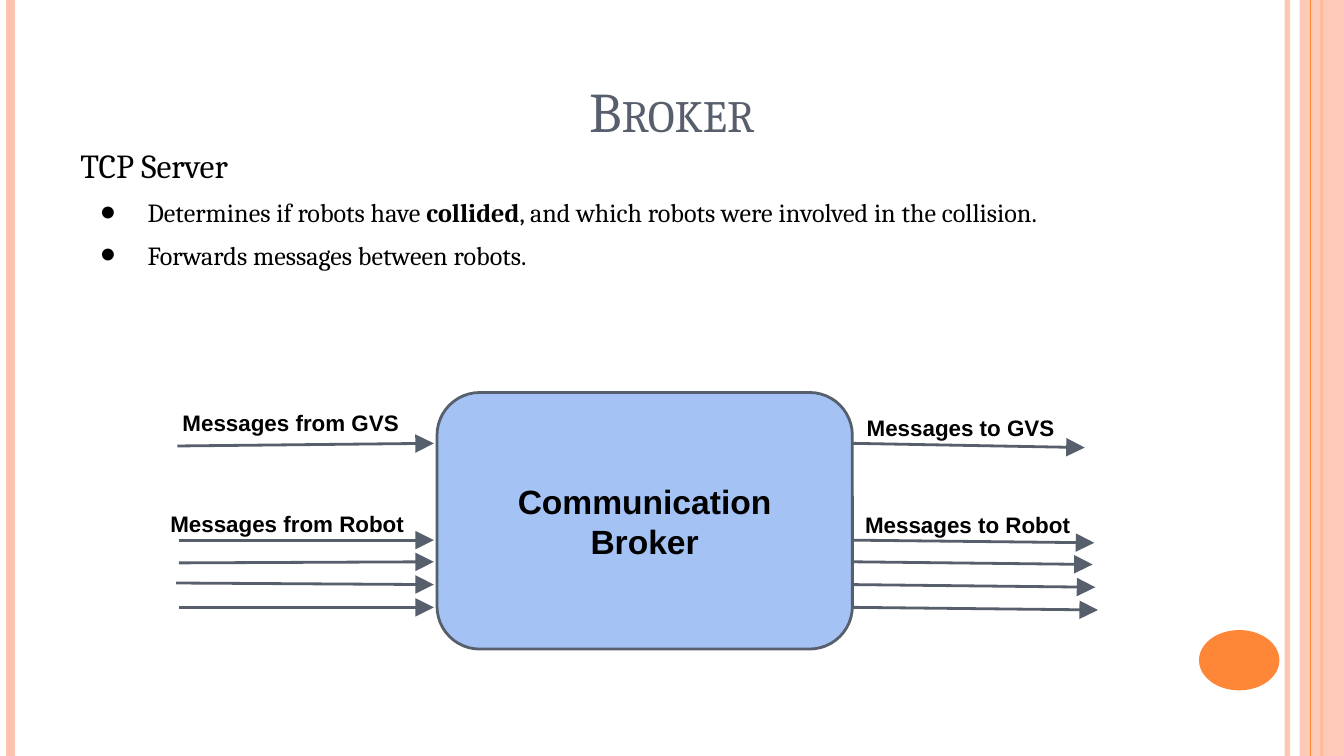
import pptx
import pptx.util
import pptx.dml.color
import pptx.enum.shapes
import pptx.enum.text
import pptx.oxml
import pptx.oxml.ns
from lxml import etree

Cm, Pt = pptx.util.Cm, pptx.util.Pt
SHAPE = pptx.enum.shapes.MSO_SHAPE
ALIGN = pptx.enum.text.PP_ALIGN
ANCHOR = pptx.enum.text.MSO_ANCHOR
qn = pptx.oxml.ns.qn

# Content, lengths in cm
W, H = 25.4, 14.29
PEACH, ORANGE, SLATE, BLUE, BLACK = "FEC3AE", "FE8637", "575F6D", "A4C2F4", "000000"
TITLE = "Broker"
HEADING = "TCP Server"
BULLETS = [
    [("Determines if robots have ", False), ("collided", True),
     (", and which robots were involved in the collision.", False)],
    [("Forwards messages between robots.", False)],
]
BROKER = ("Communication Broker", 8.26, 7.42, 7.85, 4.85)
STRIPES = [  # x, colour, width in points, opacity
    (24.33, PEACH, 3, 93), (0.2, PEACH, 4.5, 100), (24.97, ORANGE, 1.5, 100)]
INNER_STRIPE = (24.77, ORANGE, 0.75, 100)
LABELS = [  # text, left, top, width
    ("Messages from GVS", 3.2, 7.49, 5.05),
    ("Messages from Robot", 2.97, 9.4, 5.16),
    ("Messages to GVS", 16.13, 7.57, 5.05),
    ("Messages to Robot", 16.1, 9.42, 5.16),
]
IN_END, OUT_START = 8.2, 16.12
FLOWS = [  # height at broker, incoming start, outgoing end
    (8.38, (3.35, 8.43), (20.5, 8.46)),
    (10.21, (3.38, 10.21), (20.68, 10.26)),
    (10.62, (3.38, 10.64), (20.65, 10.67)),
    (11.05, (3.33, 11.02), (20.7, 11.1)),
    (11.48, (3.38, 11.48), (20.75, 11.53)),
]


def paint(target, colour, opacity=100):
    """Give a fill or a line's fill a solid colour."""
    target.solid()
    target.fore_color.rgb = pptx.dml.color.RGBColor.from_string(colour)
    if opacity < 100:
        clr = target._xPr.find(qn("a:solidFill"))[0]
        etree.SubElement(clr, qn("a:alpha"), val=str(opacity * 1000))


def add_text(p, text, size=12, font="Arial", colour=BLACK, bold=False, small_caps=False):
    r = p.add_run()
    r.text = text
    r.font.size, r.font.name, r.font.bold = Pt(size), font, bold
    paint(r.font.fill, colour)
    if small_caps:
        r.font._element.set("cap", "small")


def frame(sp, anchor=ANCHOR.TOP):
    tf = sp.text_frame
    tf.word_wrap = True
    tf.vertical_anchor = anchor
    tf.margin_left = tf.margin_right = tf.margin_top = tf.margin_bottom = Cm(0.25)
    return tf


def add_box(x, y, w, h):
    return frame(s.shapes.add_textbox(Cm(x), Cm(y), Cm(w), Cm(h)))


def add_shape(kind, x, y, w, h, colour, opacity=100):
    sp = s.shapes.add_shape(kind, Cm(x), Cm(y), Cm(w), Cm(h))
    sp.shadow.inherit = False
    paint(sp.fill, colour, opacity)
    sp.line.fill.background()
    return sp


def add_line(x1, y1, x2, y2, colour=SLATE, width=1.5, opacity=100, arrow=False):
    c = s.shapes.add_connector(pptx.enum.shapes.MSO_CONNECTOR.STRAIGHT,
                               Cm(x1), Cm(y1), Cm(x2), Cm(y2))
    c.line.width = Pt(width)
    paint(c.line.fill, colour, opacity)
    if arrow:
        etree.SubElement(c.line._get_or_add_ln(), qn("a:tailEnd"),
                         type="triangle", w="lg", len="lg")
    etree.SubElement(c._element.spPr, qn("a:effectLst"))


def add_stripe(x, colour, width, opacity):
    add_line(x, 0, x, H, colour, width, opacity)


def indent(p, left, first, bullet=False):
    pPr = p._p.get_or_add_pPr()
    pPr.set("marL", str(Cm(left)))
    pPr.set("indent", str(Cm(first)))
    if bullet:
        clr = etree.SubElement(pPr, qn("a:buClr"))
        etree.SubElement(clr, qn("a:srgbClr"), val=BLACK)
        etree.SubElement(pPr, qn("a:buSzPct"), val="167000")
        etree.SubElement(pPr, qn("a:buFont"), typeface="Arial")
        etree.SubElement(pPr, qn("a:buChar"), char="•")


prs = pptx.Presentation()
prs.slide_width, prs.slide_height = Cm(W), Cm(H)
s = prs.slides.add_slide(prs.slide_layouts[5])

# Side decoration
for stripe in STRIPES:
    add_stripe(*stripe)
add_shape(SHAPE.RECTANGLE, 24.56, 0, W - 24.56, H, PEACH, 87)
add_stripe(*INNER_STRIPE)
add_shape(SHAPE.OVAL, 22.66, 11.91, 1.52, 1.14, ORANGE)

# Title
title = s.shapes.title
title.left, title.top, title.width, title.height = Cm(1.27), Cm(0.58), Cm(22.86), Cm(2.39)
p = frame(title, ANCHOR.BOTTOM).paragraphs[0]
p.alignment = ALIGN.CENTER
add_text(p, TITLE, size=30, font="Cambria", colour=SLATE, small_caps=True)

# Heading and bullets
tf = add_box(1.27, 2.49, 23.42, 3.05)
add_text(tf.paragraphs[0], HEADING, size=18, font="Cambria")
for runs in BULLETS:
    p = tf.add_paragraph()
    p.space_before = Pt(6)
    indent(p, 1.27, -0.89, bullet=True)
    for text, bold in runs:
        add_text(p, text, size=14, font="Cambria", bold=bold)

# Broker
name, *place = BROKER
sp = add_shape(SHAPE.ROUNDED_RECTANGLE, *place, BLUE)
sp.line.width = Pt(1.5)
paint(sp.line.fill, SLATE)
p = frame(sp, ANCHOR.MIDDLE).paragraphs[0]
p.alignment = ALIGN.CENTER
add_text(p, name, size=18, bold=True)

# Message arrows and labels
for y, start, end in FLOWS:
    add_line(*start, IN_END, y, arrow=True)
    add_line(OUT_START, y, *end, arrow=True)
for text, x, y, w in LABELS:
    add_text(add_box(x, y, w, 1.22).paragraphs[0], text, bold=True)

prs.save("out.pptx")
